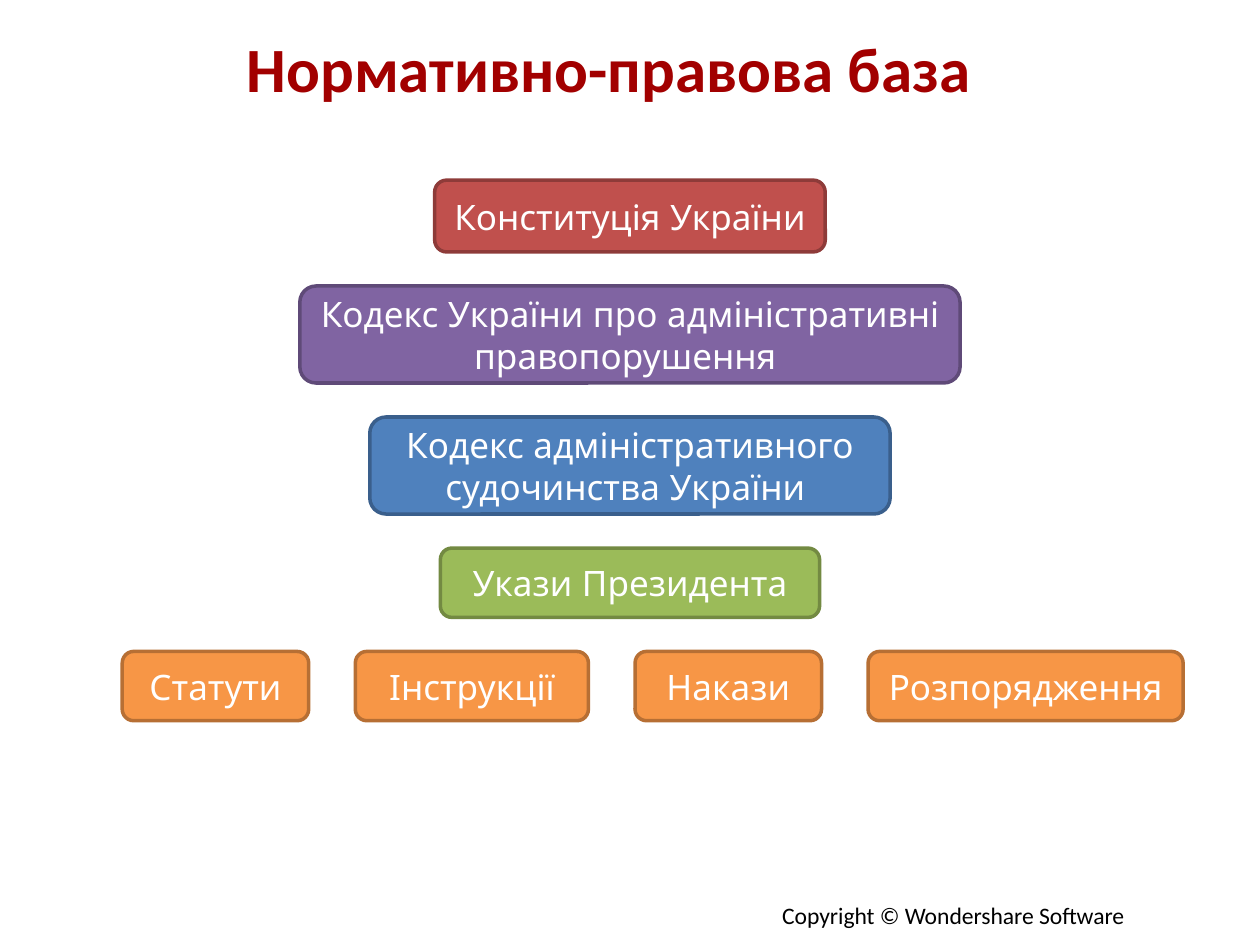
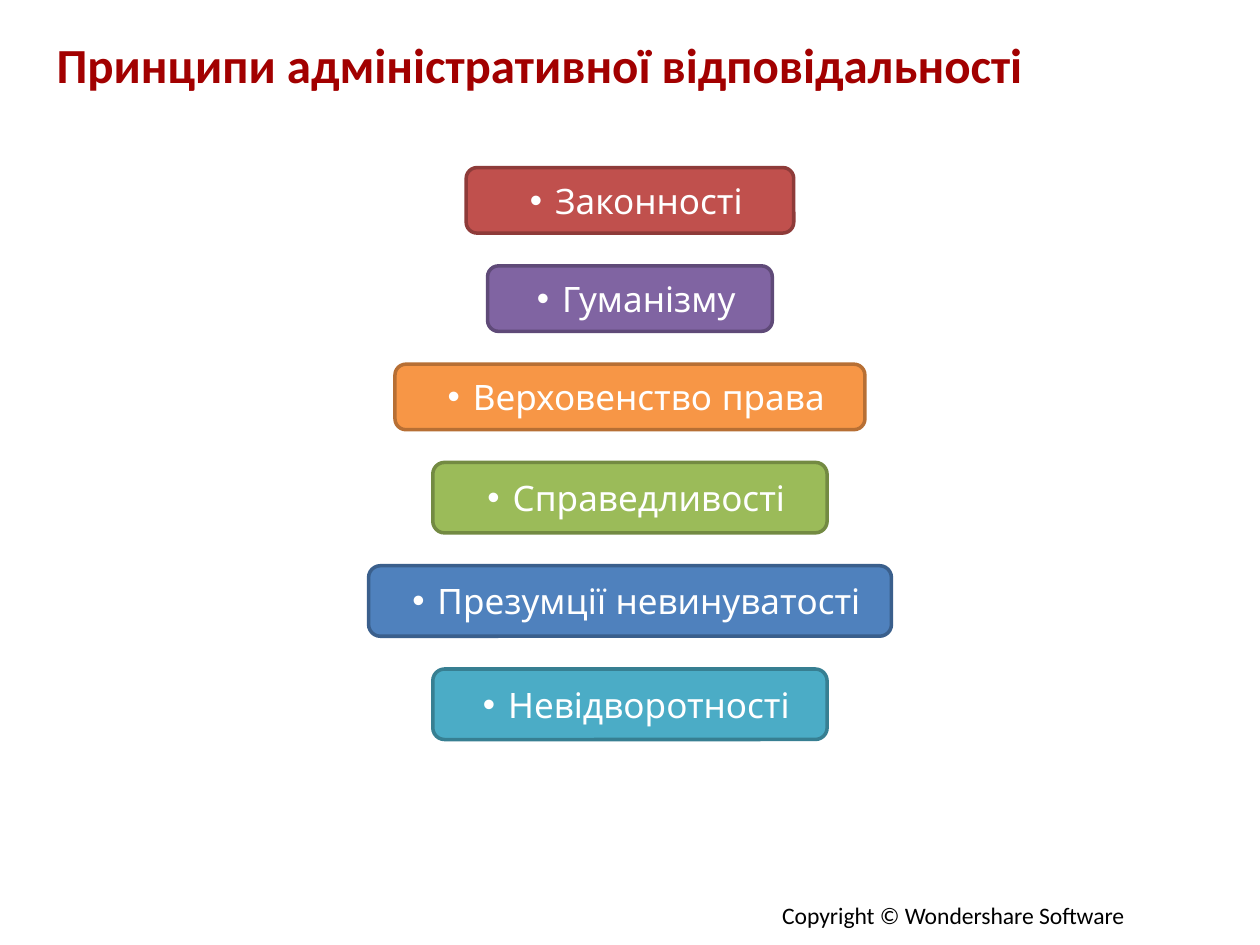
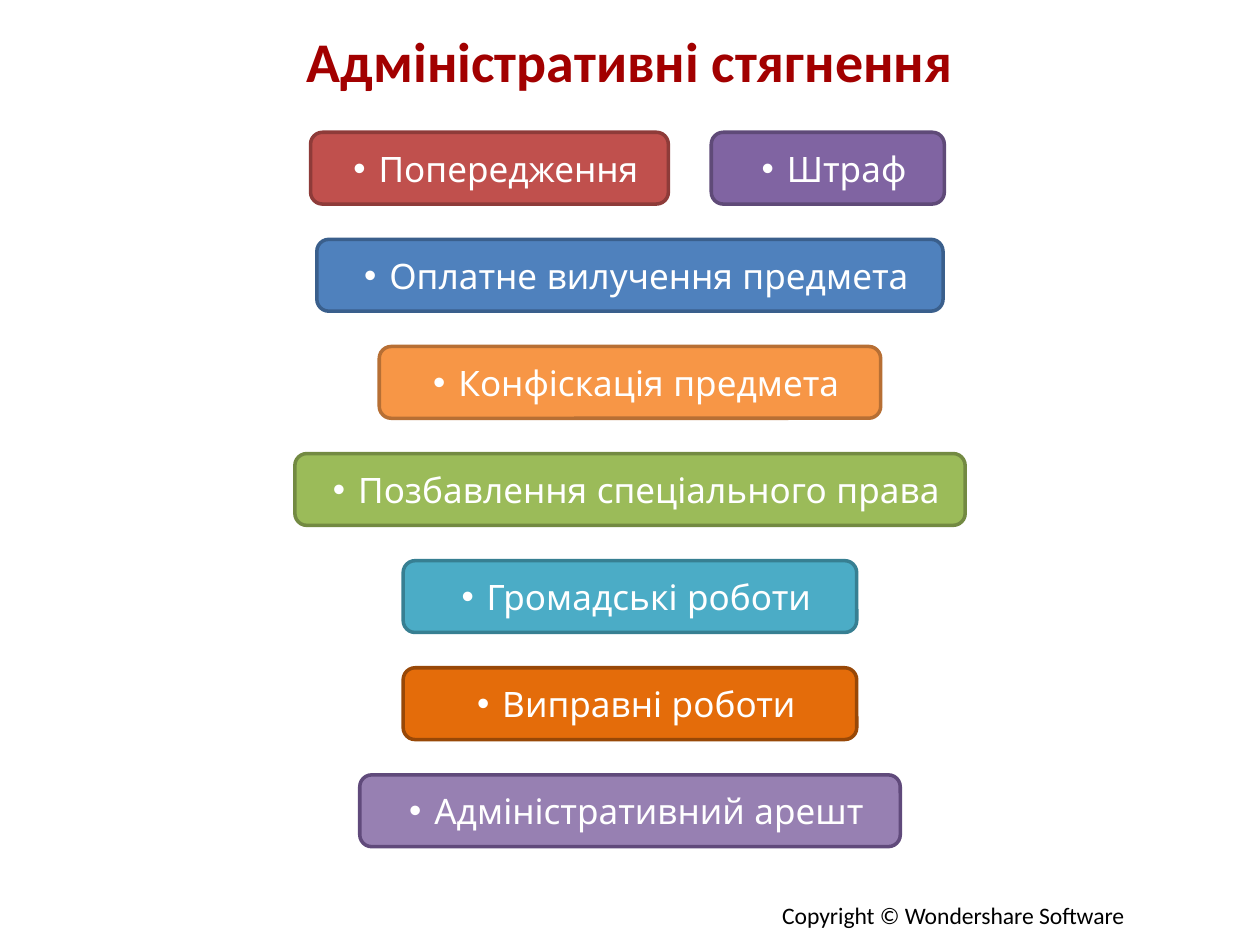
from dataclasses import dataclass

from lxml import etree
from pptx import Presentation
from pptx import util as u
from pptx.dml.color import RGBColor
from pptx.enum import shapes, text
from pptx.oxml import ns


@dataclass(frozen=True)
class Theme:
    title_font: str = "Calibri"
    card_font: str = "Quicksand"
    card_size: float = 20
    footer_size: float = 13.5
    border: float = 2
    white: str = "FFFFFF"
    black: str = "000000"
    title_stops: tuple = ((0, "C00000"), (43, "A20000"), (100, "860000"))
    # Card tones: fill, border
    red: tuple = ("C0504D", "8E3B39")
    purple: tuple = ("8064A2", "5F4A78")
    blue: tuple = ("4F81BD", "3A5F8C")
    green: tuple = ("9BBB59", "738A42")
    orange: tuple = ("F79646", "B76F34")
    teal: tuple = ("4BACC6", "377F92")
    rust: tuple = ("E46C0A", "984807")
    lilac: tuple = ("9780B2", "604A7B")


THEME = Theme()


@dataclass(frozen=True)
class Row:
    """Cards side by side, each (words, width, tone), centred on one x."""
    height: float
    cards: tuple
    gap: float = 0
    center: float = 5


def rgb(code):
    return RGBColor.from_string(code)


def sub(parent, tag, **attributes):
    return etree.SubElement(parent, ns.qn(tag), attributes)


def add_run(paragraph, words, font, size, color=None, bold=False):
    run = paragraph.add_run()
    run.text = words
    run.font.name, run.font.size, run.font.bold = font, u.Pt(size), bold
    if color:
        run.font.color.rgb = rgb(color)
    return run


def add_text_box(slide, box):
    return slide.shapes.add_textbox(*map(u.Inches, box)).text_frame


def add_title(slide, box, words, size, align):
    frame = add_text_box(slide, box)
    frame.word_wrap = True
    frame.vertical_anchor = text.MSO_ANCHOR.MIDDLE
    heading = frame.paragraphs[0]
    heading.alignment = align
    run = add_run(heading, words, THEME.title_font, size, bold=True)

    # Vertical red gradient on the letters
    gradient = etree.Element(ns.qn("a:gradFill"))
    stops = sub(gradient, "a:gsLst")
    for position, color in THEME.title_stops:
        stop = sub(stops, "a:gs", pos=str(position * 1000))
        sub(stop, "a:srgbClr", val=color)
    sub(gradient, "a:lin", ang="5400000", scaled="0")
    run.font._element.insert(0, gradient)


def add_footer(slide):
    frame = add_text_box(slide, (6.11, 7.1, 2.97, 0.33))
    frame.word_wrap = False
    add_run(frame.paragraphs[0], "Copyright © Wondershare Software",
            THEME.title_font, THEME.footer_size, THEME.black)


def add_bullet(paragraph, indent=0.3, hanging=0.2):
    properties = paragraph._p.get_or_add_pPr()
    properties.set("marL", str(u.Inches(indent)))
    properties.set("indent", str(-u.Inches(hanging)))
    sub(properties, "a:buFont", typeface="Arial")
    sub(properties, "a:buChar", char="•")


def add_card(slide, box, words, tone, bulleted):
    card = slide.shapes.add_shape(
        shapes.MSO_SHAPE.ROUNDED_RECTANGLE, *map(u.Inches, box))
    card.shadow.inherit = False
    fill, border = tone
    card.fill.solid()
    card.fill.fore_color.rgb = rgb(fill)
    card.line.color.rgb = rgb(border)
    card.line.width = u.Pt(THEME.border)
    frame = card.text_frame
    frame.word_wrap = True
    frame.vertical_anchor = text.MSO_ANCHOR.MIDDLE
    label = frame.paragraphs[0]
    label.alignment = text.PP_ALIGN.CENTER
    if bulleted:
        add_bullet(label)
    add_run(label, words, THEME.card_font, THEME.card_size, THEME.white)


def add_stack(slide, top, gap, rows, bulleted):
    """Stack rows downwards from top with an equal gap."""
    for row in rows:
        span = sum(width for _, width, _ in row.cards)
        left = row.center - (span + row.gap * (len(row.cards) - 1)) / 2
        for words, width, tone in row.cards:
            add_card(slide, (left, top, width, row.height), words, tone,
                     bulleted)
            left += width + row.gap
        top += row.height + gap


def add_page(deck, title, stack):
    slide = deck.slides.add_slide(deck.slide_layouts[6])
    add_footer(slide)
    add_title(slide, *title)
    add_stack(slide, *stack)


def single_rows(height, *cards):
    return [Row(height, (card,)) for card in cards]


def main():
    deck = Presentation()
    deck.slide_width, deck.slide_height = u.Inches(10), u.Inches(7.5)
    t, align = THEME, text.PP_ALIGN

    # Legal framework, from the constitution down to by-laws
    laws = [
        *single_rows(0.57, ("Конституція України", 3.1, t.red)),
        *single_rows(
            0.77,
            ("Кодекс України про адміністративні правопорушення ", 5.24,
             t.purple),
            ("Кодекс адміністративного судочинства України ", 4.13, t.blue)),
        *single_rows(0.55, ("Укази Президента", 3.01, t.green)),
        Row(0.55, (("Статути", 1.48, t.orange),
                   ("Інструкції", 1.85, t.orange),
                   ("Накази", 1.48, t.orange),
                   ("Розпорядження", 2.5, t.orange)), 0.37, 5.18),
    ]
    add_page(deck, ((1.86, 0.19, 6.28, 0.68), "Нормативно-правова база", 36,
                    align.JUSTIFY), (1.43, 0.27, laws, False))

    # Principles of liability
    principles = [
        *single_rows(0.52,
                     ("Законності", 2.6, t.red),
                     ("Гуманізму", 2.26, t.purple),
                     ("Верховенство права", 3.73, t.orange)),
        *single_rows(0.56,
                     ("Справедливості", 3.13, t.green),
                     ("Презумції невинуватості", 4.15, t.blue),
                     ("Невідворотності", 3.13, t.teal)),
    ]
    add_page(deck, ((-0.28, 0.17, 9.12, 0.68),
                    "Принципи адміністративної відповідальності", 28,
                    align.CENTER), (1.33, 0.26, principles, True))

    # Penalties
    penalties = [
        Row(0.57, (("Попередження", 2.84, t.red),
                   ("Штраф", 1.85, t.purple)), 0.34, 4.98),
        *single_rows(0.57,
                     ("Оплатне вилучення предмета", 4.97, t.blue),
                     ("Конфіскація предмета", 3.98, t.orange),
                     ("Позбавлення спеціального права", 5.32, t.green),
                     ("Громадські роботи", 3.6, t.teal),
                     ("Виправні роботи", 3.6, t.rust),
                     ("Адміністративний арешт", 4.29, t.lilac)),
    ]
    add_page(deck, ((0.44, 0.14, 9.12, 0.68), "Адміністративні стягнення", 32,
                    align.CENTER), (1.05, 0.28, penalties, True))

    deck.save("out.pptx")


if __name__ == "__main__":
    main()
